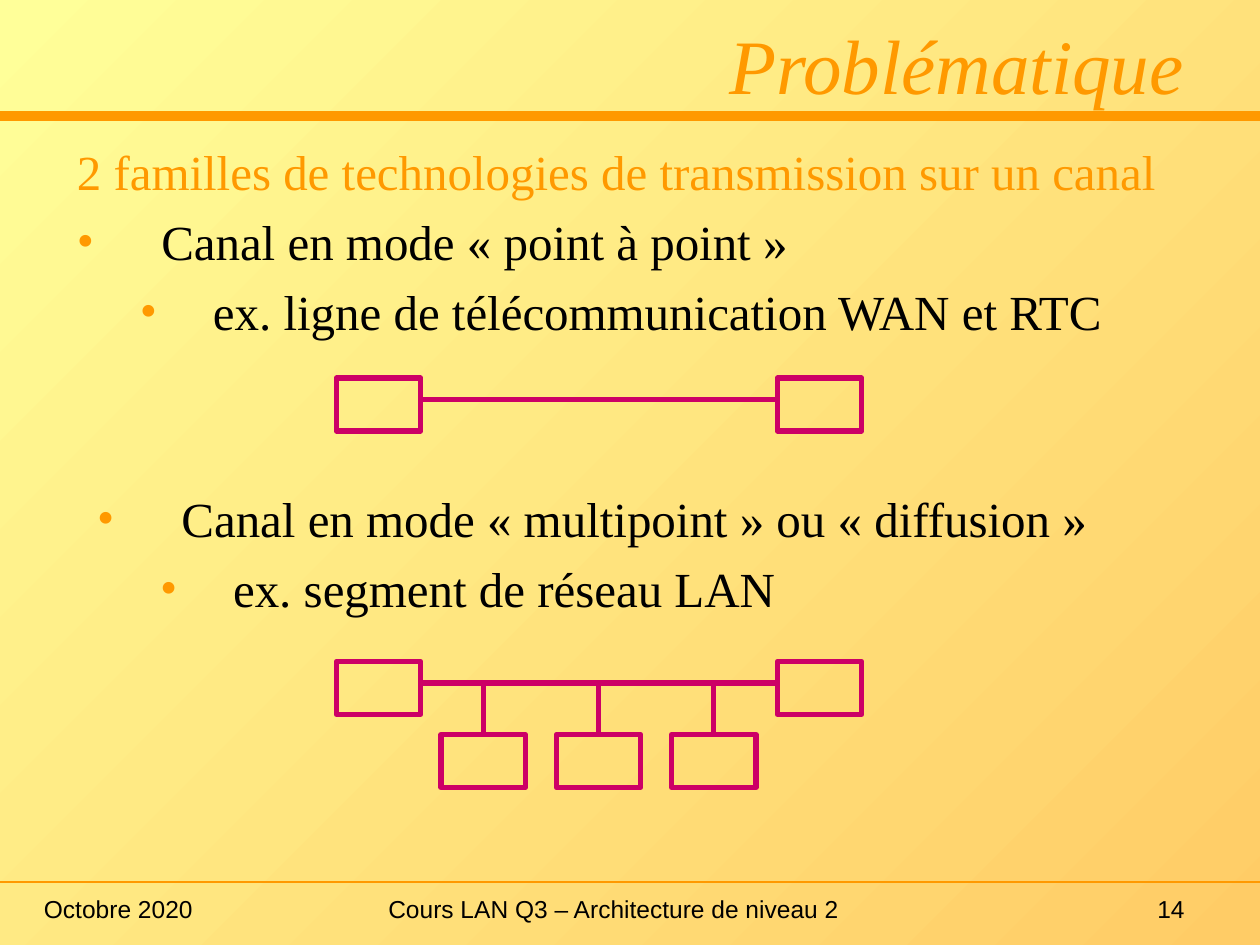
from dataclasses import dataclass

from lxml.etree import SubElement
from pptx import Presentation
from pptx.dml.color import RGBColor as Color
from pptx.enum.shapes import MSO_CONNECTOR as Connector, MSO_SHAPE as Shape
from pptx.enum.text import MSO_ANCHOR as Anchor, MSO_AUTO_SIZE as AutoSize, PP_ALIGN as Align
from pptx.oxml.ns import qn
from pptx.util import Inches, Pt


@dataclass(frozen=True)
class Theme:
    accent: Color = Color.from_string("FF9900")
    diagram: Color = Color.from_string("CC0066")
    text: Color = Color.from_string("000000")
    light: Color = Color.from_string("FFFF99")
    dark: Color = Color.from_string("FFCC66")
    serif: str = "Times New Roman"
    sans: str = "Arial"
    title_size: Pt = Pt(44)
    body_size: Pt = Pt(28)
    footer_size: Pt = Pt(14)


theme = Theme()
deck = Presentation()
deck.slide_width, deck.slide_height = Inches(10), Inches(7.5)
page = deck.slides.add_slide(deck.slide_layouts[3])

background = page.background.fill
background.gradient()
background.gradient_angle = 315
for stop, color, position in zip(background.gradient_stops, (theme.light, theme.dark), (0, 1)):
    stop.color.rgb = color
    stop.position = position


def add_line(x1, y1, x2, y2, color, width):
    line = page.shapes.add_connector(
        Connector.STRAIGHT, Inches(x1), Inches(y1), Inches(x2), Inches(y2))
    line.line.color.rgb = color
    line.line.width = Pt(width)
    SubElement(line._element.spPr, qn("a:effectLst"))


def style_text(paragraph, name, size, color):
    paragraph.font.name = name
    paragraph.font.size = size
    paragraph.font.color.rgb = color


add_line(0, 0.92, 10, 0.92, theme.accent, 6)
add_line(0, 7, 10, 7, theme.accent, 1)

title = page.shapes.title
title.left, title.top, title.width, title.height = map(Inches, (1.67, 0.17, 7.83, 0.75))
title.text_frame.auto_size = AutoSize.NONE
title.text_frame.vertical_anchor = Anchor.BOTTOM
title.text_frame.text = "Problématique"
para = title.text_frame.paragraphs[0]
para.alignment = Align.RIGHT
style_text(para, theme.serif, theme.title_size, theme.accent)
para.font.italic = True

lists = [
    (1, (0.51, 1.07, 9.08, 1.67), [
        ("2 familles de technologies de transmission sur un canal", 0, False),
        ("Canal en mode « point à point »", 0, True),
        ("ex. ligne de télécommunication WAN et RTC", 1, True),
    ]),
    (2, (0.67, 3.83, 9.08, 1.17), [
        ("Canal en mode « multipoint » ou « diffusion »", 0, True),
        ("ex. segment de réseau LAN", 1, True),
    ]),
]
indents = [(0.67, -0.67), (1.08, -0.58)]
for index, place, items in lists:
    body = page.placeholders[index]
    body.left, body.top, body.width, body.height = map(Inches, place)
    frame = body.text_frame
    frame.auto_size = AutoSize.NONE
    frame.text = "\n".join(text for text, level, bulleted in items)
    for number, (para, (text, level, bulleted)) in enumerate(zip(frame.paragraphs, items)):
        para.level = level
        para.space_before = Pt(6.4) if number else Pt(0)
        properties = para._p.get_or_add_pPr()
        margin, indent = indents[level]
        properties.set("marL", str(Inches(margin)))
        properties.set("indent", str(Inches(indent)))
        if bulleted:
            bullet_color = SubElement(properties, qn("a:buClr"))
            SubElement(bullet_color, qn("a:srgbClr"), val=str(theme.accent))
            SubElement(properties, qn("a:buFont"), typeface=theme.serif)
            SubElement(properties, qn("a:buChar"), char="•")
        else:
            SubElement(properties, qn("a:buNone"))
        style_text(para, theme.serif, theme.body_size, theme.text if bulleted else theme.accent)

station_width, station_height = 0.67, 0.42
left_end, right_end = 2.67, 6.17
point_top, bus_top, branch_top = 3, 5.25, 5.83
branches = [3.5 + 0.915 * column for column in range(3)]
stations = [(x, y) for y in (point_top, bus_top) for x in (left_end, right_end)]
stations += [(x, branch_top) for x in branches]
for x, y in stations:
    station = page.shapes.add_shape(
        Shape.RECTANGLE, Inches(x), Inches(y), Inches(station_width), Inches(station_height))
    station.shadow.inherit = False
    station.fill.background()
    station.line.color.rgb = theme.diagram
    station.line.width = Pt(3)

for top in (point_top, bus_top):
    add_line(left_end + station_width, top + 0.17, right_end, top + 0.17, theme.diagram, 3)
for x in branches:
    center = x + station_width / 2
    add_line(center, bus_top + 0.17, center, branch_top, theme.diagram, 3)

footers = [
    (0.25, 2.08, "Octobre 2020", Align.LEFT),
    (2.33, 5.08, "Cours LAN Q3 – Architecture de niveau 2", Align.CENTER),
    (7.42, 2.08, "14", Align.RIGHT),
]
for left, width, text, alignment in footers:
    box = page.shapes.add_textbox(Inches(left), Inches(7.05), Inches(width), Inches(0.33))
    frame = box.text_frame
    frame.word_wrap = True
    frame.vertical_anchor = Anchor.MIDDLE
    frame.text = text
    para = frame.paragraphs[0]
    para.alignment = alignment
    style_text(para, theme.sans, theme.footer_size, theme.text)

deck.save("out.pptx")
